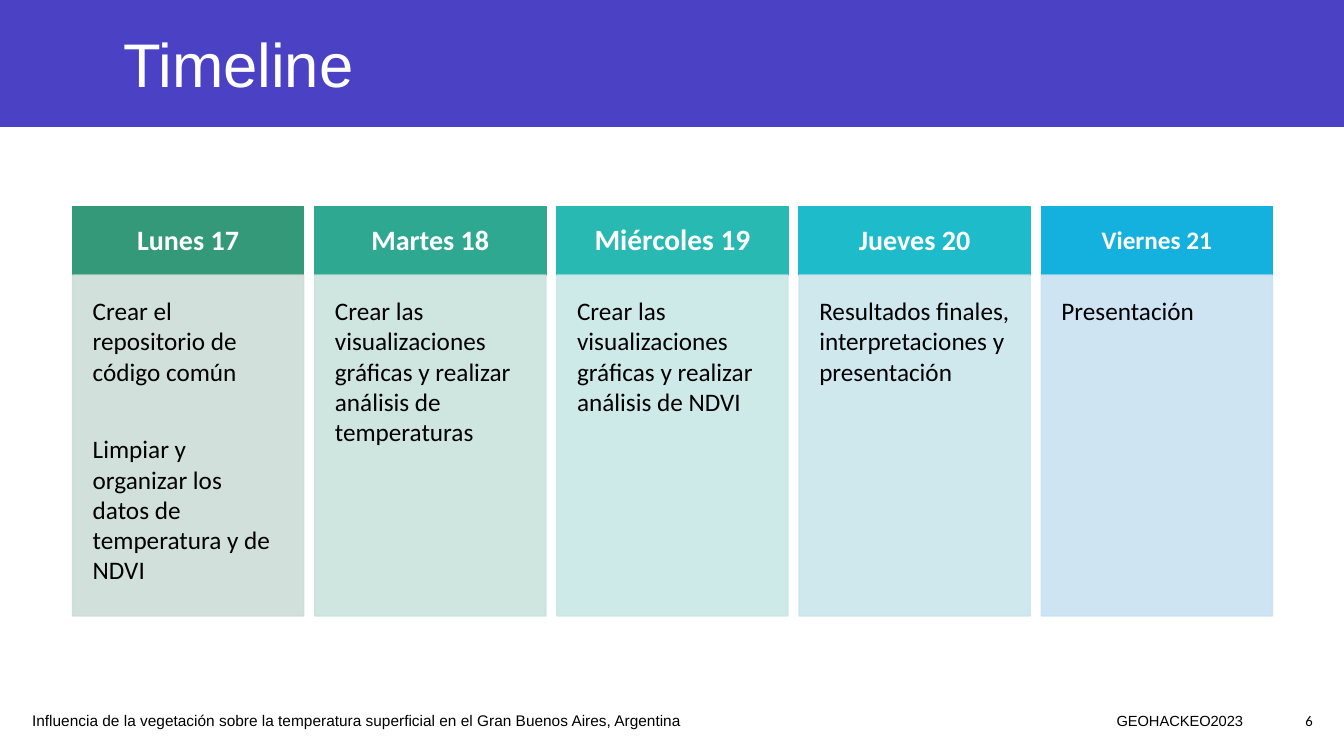
from dataclasses import dataclass

import pptx
import pptx.dml.color
import pptx.enum.shapes
import pptx.enum.text
import pptx.oxml
import pptx.oxml.ns
import pptx.util

ALIGN = pptx.enum.text.PP_ALIGN
ANCHOR = pptx.enum.text.MSO_ANCHOR
Inches = pptx.util.Inches


@dataclass(frozen=True)
class Theme:
    band: str = "4A41C5"
    light: str = "FFFFFF"
    dark: str = "000000"
    heading_font: str = "Arial"
    body_font: str = "Calibri"
    title_size: float = 44
    body_size: float = 18
    footer_size: float = 11
    small_size: float = 10.5
    task_gap: float = 34
    body_alpha: int = 89


THEME = Theme()

WIDTH, HEIGHT = 13.33, 7.5
BAND_HEIGHT = 1.26
GRID_LEFT, GRID_RIGHT = 0.72, 12.62
GRID_TOP, HEADER_HEIGHT, BODY_HEIGHT = 2.05, 0.68, 3.38
GAP = 0.11
FOOTER_TOP, FOOTER_HEIGHT = 6.95, 0.4

# Day, heading size, heading colour, body colour, tasks
DAYS = [
    ("Lunes 17", 20, "349979", "CCDDD6",
     ["Crear el repositorio de código común",
      "Limpiar y organizar los datos de temperatura y de NDVI"]),
    ("Martes 18", 20, "2FA892", "CAE2DD",
     ["Crear las visualizaciones gráficas y realizar análisis de temperaturas"]),
    ("Miércoles 19", 21, "27B9B2", "C8E8E6",
     ["Crear las visualizaciones gráficas y realizar análisis de NDVI"]),
    ("Jueves 20", 20, "1EBBCB", "C9E6ED",
     ["Resultados finales, interpretaciones y presentación"]),
    ("Viernes 21", 18, "15B1DE", "C8E1F2", ["Presentación"]),
]


def rgb(value):
    return pptx.dml.color.RGBColor.from_string(value)


def set_text(sp, lines, font, size, color, align=ALIGN.LEFT, anchor=ANCHOR.MIDDLE,
             inset=None, bold=False, spacing=None, gap=0):
    """Write one paragraph per line; gap is the space before all but the first."""
    tf = sp.text_frame
    tf.word_wrap = True
    tf.auto_size = pptx.enum.text.MSO_AUTO_SIZE.NONE
    tf.vertical_anchor = anchor
    if inset is not None:
        tf.margin_left = tf.margin_right = Inches(inset)
        tf.margin_top = tf.margin_bottom = Inches(inset)
    for i, line in enumerate(lines):
        p = tf.add_paragraph() if i else tf.paragraphs[0]
        p.text = line
        p.alignment = align
        p.line_spacing = spacing
        if i:
            p.space_before = pptx.util.Pt(gap)
        p.font.name = font
        p.font.size = pptx.util.Pt(size)
        p.font.bold = bold
        p.font.color.rgb = rgb(color)


def add_block(s, left, top, width, height, color, alpha=100, outlined=True):
    """Add a rectangle; alpha is the opacity of fill and outline in percent."""
    sp = s.shapes.add_shape(pptx.enum.shapes.MSO_SHAPE.RECTANGLE, Inches(left),
                            Inches(top), Inches(width), Inches(height))
    sp.shadow.inherit = False
    sp.fill.solid()
    sp.fill.fore_color.rgb = rgb(color)
    if outlined:
        sp.line.color.rgb = rgb(color)
        sp.line.width = pptx.util.Pt(1)
    else:
        sp.line.fill.background()
    if alpha < 100:
        for clr in sp._element.spPr.iter(pptx.oxml.ns.qn("a:srgbClr")):
            tag = pptx.oxml.ns.qn("a:alpha")
            clr.append(clr.makeelement(tag, {"val": str(alpha * 1000)}))
    return sp


def add_title(s, text):
    title = s.shapes.title
    band = add_block(s, 0, 0, WIDTH, BAND_HEIGHT, THEME.band, outlined=False)
    title._element.addprevious(band._element)
    title.left, title.top = Inches(1.12), Inches(0.21)
    title.width, title.height = Inches(10.46), Inches(0.83)
    set_text(title, [text], THEME.heading_font, THEME.title_size, THEME.light)


def add_timeline(s):
    width = (GRID_RIGHT - GRID_LEFT - GAP * (len(DAYS) - 1)) / len(DAYS)
    for i, (day, size, header_color, body_color, tasks) in enumerate(DAYS):
        left = GRID_LEFT + i * (width + GAP)
        header = add_block(s, left, GRID_TOP, width, HEADER_HEIGHT, header_color)
        set_text(header, [day], THEME.body_font, size, THEME.light, ALIGN.CENTER,
                 inset=0.18, bold=True, spacing=0.9)
        body = add_block(s, left, GRID_TOP + HEADER_HEIGHT, width, BODY_HEIGHT,
                         body_color, THEME.body_alpha)
        set_text(body, tasks, THEME.body_font, THEME.body_size, THEME.dark,
                 anchor=ANCHOR.TOP, inset=0.2, gap=THEME.task_gap)


def add_footer(s, text, left, width, font, size, align):
    sp = s.shapes.add_textbox(Inches(left), Inches(FOOTER_TOP), Inches(width),
                              Inches(FOOTER_HEIGHT))
    set_text(sp, [text], font, size, THEME.dark, align)


def main():
    prs = pptx.Presentation()
    prs.slide_width, prs.slide_height = Inches(WIDTH), Inches(HEIGHT)
    s = prs.slides.add_slide(prs.slide_layouts.get_by_name("Title Only"))
    add_title(s, "Timeline")
    add_timeline(s)
    add_footer(s, "Influencia de la vegetación sobre la temperatura superficial "
               "en el Gran Buenos Aires, Argentina", 0.22, 7.06,
               THEME.heading_font, THEME.footer_size, ALIGN.LEFT)
    add_footer(s, "GEOHACKEO2023", 7.67, 4.76, THEME.heading_font,
               THEME.small_size, ALIGN.RIGHT)
    add_footer(s, "6", 12.43, 0.69, THEME.body_font, THEME.small_size, ALIGN.RIGHT)
    prs.save("out.pptx")


if __name__ == "__main__":
    main()
